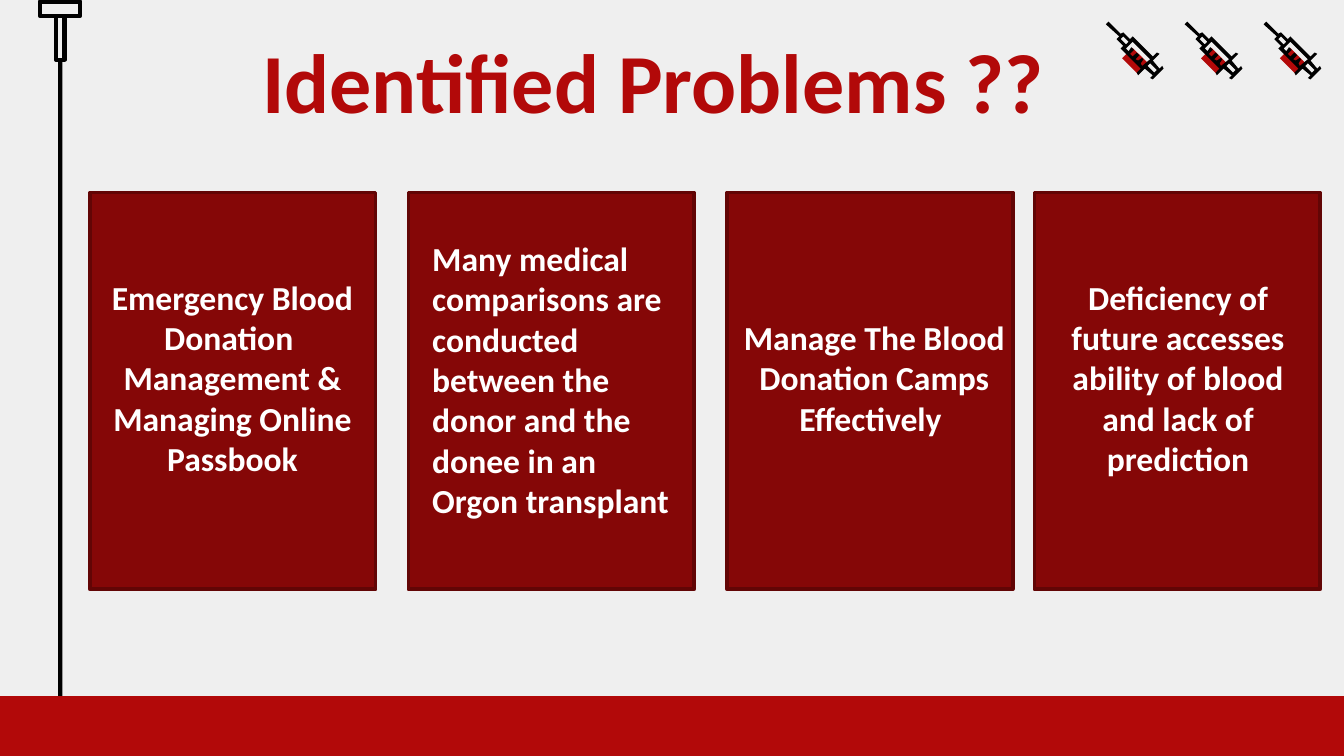
from lxml import etree
from pptx import Presentation
from pptx.dml.color import RGBColor
from pptx.enum.shapes import MSO_CONNECTOR, MSO_SHAPE
from pptx.enum.text import MSO_ANCHOR, PP_ALIGN
from pptx.oxml.ns import qn
from pptx.util import Cm, Pt

RECT = MSO_SHAPE.RECTANGLE
LINE = MSO_CONNECTOR.STRAIGHT
MIDDLE, TOP = MSO_ANCHOR.MIDDLE, MSO_ANCHOR.TOP
CENTER, LEFT = PP_ALIGN.CENTER, PP_ALIGN.LEFT
RED, DARK, EDGE = "B20909", "850707", "620505"
BLACK, WHITE, GREY = "000000", "FFFFFF", "EFEFEF"


def paint(shape, fill=None, edge=None, width=2.25):
    shape.shadow.inherit = False
    if fill:
        shape.fill.solid()
        shape.fill.fore_color.rgb = RGBColor.from_string(fill)
    else:
        shape.fill.background()
    if edge:
        shape.line.color.rgb = RGBColor.from_string(edge)
        shape.line.width = Pt(width)
    else:
        shape.line.fill.background()


def write(box, lines, size, color, align, anchor, pad):
    frame = slide.shapes.add_textbox(*map(Cm, box)).text_frame
    frame.word_wrap = True
    frame.vertical_anchor = anchor
    frame.margin_left = frame.margin_right = Cm(0.25)
    frame.margin_top = frame.margin_bottom = Cm(pad)
    frame.text = "\n".join(lines)
    for para in frame.paragraphs:
        para.alignment = align
        for run in para.runs:
            run.font.name = "Calibri"
            run.font.size = Pt(size)
            run.font.bold = True
            run.font.color.rgb = RGBColor.from_string(color)


deck = Presentation()
deck.slide_width, deck.slide_height = Cm(25.4), Cm(14.29)
slide = deck.slides.add_slide(deck.slide_layouts[6])
slide.background.fill.solid()
slide.background.fill.fore_color.rgb = RGBColor.from_string(GREY)
shapes = slide.shapes

for box in [(0.76, 0.03, 0.75, 0.28), (1.06, 0.31, 0.16, 0.82)]:
    stem = shapes.add_shape(RECT, *map(Cm, box))
    paint(stem, edge=BLACK)

pole = shapes.add_connector(LINE, Cm(1.14), Cm(13.23), Cm(1.14), Cm(1.13))
pole.end_connect(stem, 2)
pole.line.color.rgb = RGBColor.from_string(BLACK)
pole.line.width = Pt(2.25)
etree.SubElement(pole.element.spPr, qn("a:effectLst"))

band = shapes.add_shape(RECT, Cm(-0.03), Cm(13.16), Cm(25.47), Cm(1.17))
paint(band, RED)

for left in [1.7, 7.72, 13.74, 19.55]:
    card = shapes.add_shape(RECT, Cm(left), Cm(3.64), Cm(5.4), Cm(7.5))
    paint(card, DARK, EDGE, 2)

loops = [
    [(13, 11), (17, 15), (15, 17), (11, 13)],
    [(20, 15), (33, 28), (27, 33), (26, 31), (28, 28), (27, 27), (24, 29), (22, 28),
     (25, 25), (23, 23), (20, 26), (18, 24), (21, 21), (19, 19), (17, 22), (15, 20)],
    [(33, 31), (38, 36), (36, 38), (31, 33)],
    [(2, 0), (0, 2), (10, 11), (8, 13), (13, 18), (11, 20), (26, 35), (23, 38),
     (24, 40), (29, 35), (35, 40), (33, 42), (35, 43), (43, 35), (42, 33), (40, 35),
     (35, 29), (40, 24), (38, 23), (35, 26), (20, 11), (18, 13), (13, 8), (11, 9)],
]
for step in range(3):
    left = 20.9 + 1.49 * step
    blood = shapes.add_shape(RECT, Cm(left + 0.42), Cm(0.94), Cm(0.28), Cm(0.43))
    blood.rotation = 315
    paint(blood, RED)
    pen = shapes.build_freeform(*loops[0][0], scale=Cm(2.54) / 100)
    for loop in loops:
        pen.move_to(*loop[0])
        pen.add_line_segments(loop[1:], close=True)
    paint(pen.convert_to_shape(Cm(left), Cm(0.41)), BLACK)

write((1.22, 4.72, 6.35, 4.83), ["Emergency Blood Donation ", "Management & Managing Online Passbook"],
      18, WHITE, CENTER, MIDDLE, 0.25)
write((13.72, 4.72, 5.61, 4.83), ["Manage The Blood Donation Camps Effectively "],
      18, WHITE, CENTER, MIDDLE, 0.25)
write((19.46, 4.72, 5.61, 4.83), ["Deficiency of future accesses ability of blood and lack of prediction"],
      18, WHITE, CENTER, MIDDLE, 0.25)
write((-0.1, 0.71, 25.6, 1.6), ["Identified Problems ??  "], 45, RED, CENTER, MIDDLE, 0.25)
write((7.92, 4.37, 5.05, 5.64), ["Many medical comparisons are conducted between the donor and the\vdonee in an Orgon transplant"],
      18, WHITE, LEFT, TOP, 0.13)

deck.save("out.pptx")
